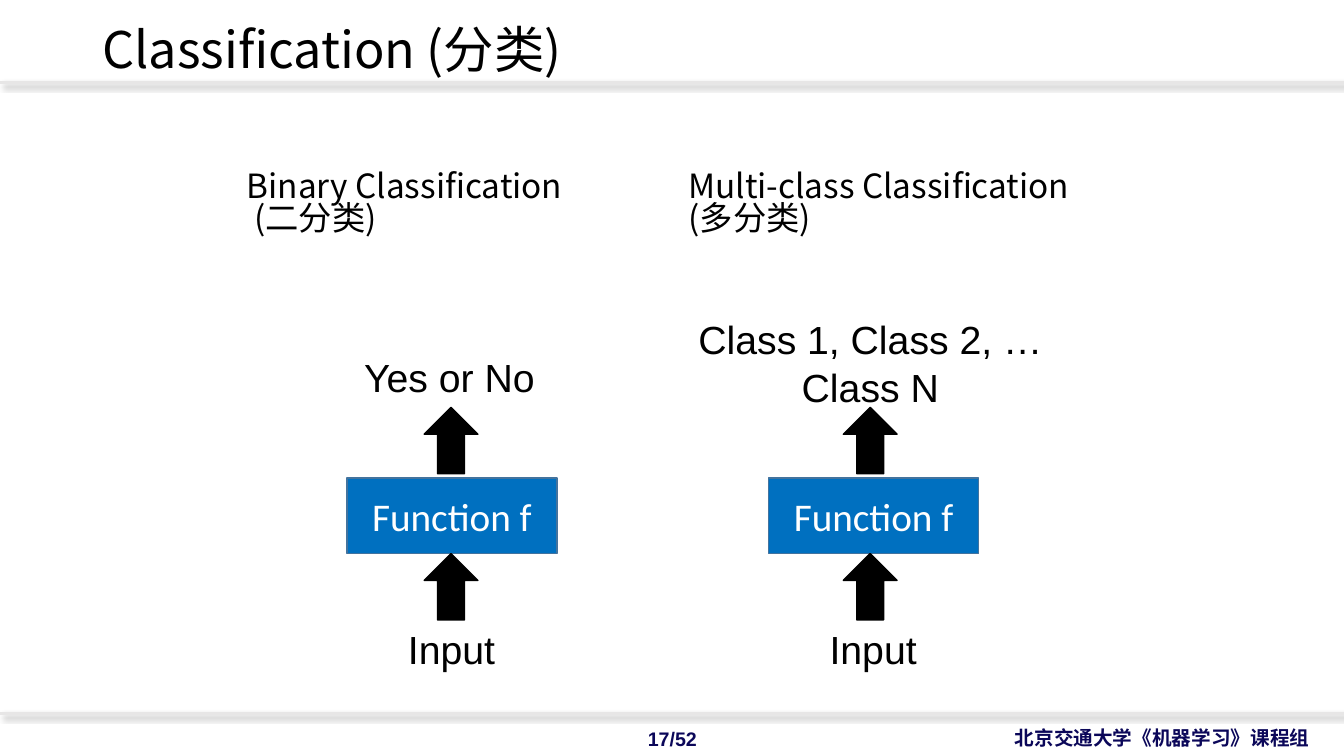
from lxml import etree
from pptx import Presentation
from pptx.dml.color import RGBColor
from pptx.enum.shapes import MSO_CONNECTOR, MSO_SHAPE
from pptx.enum.text import MSO_ANCHOR, PP_ALIGN
from pptx.oxml import parse_xml
from pptx.oxml.ns import nsdecls, qn
from pptx.util import Inches, Pt

RECT, UP_ARROW = MSO_SHAPE.RECTANGLE, MSO_SHAPE.UP_ARROW
STRAIGHT = MSO_CONNECTOR.STRAIGHT
TOP, MIDDLE, BOTTOM = MSO_ANCHOR.TOP, MSO_ANCHOR.MIDDLE, MSO_ANCHOR.BOTTOM
LEFT, CENTER, RIGHT = PP_ALIGN.LEFT, PP_ALIGN.CENTER, PP_ALIGN.RIGHT

WIDTH, HEIGHT = 13.33, 7.5
COLS, ROWS = 160, 90
COLORS = {"black": "000000", "white": "FFFFFF", "navy": "0B0759",
          "blue": "0070C0", "edge": "43739E", "rule": "E7E6E6"}
SANS, CJK, BOX_FONT = "Arial", "Noto Sans CJK SC", "Calibri"


def rgb(name):
    return RGBColor.from_string(COLORS[name])


def write(tf, text, size=28, font=SANS, color="black", bold=False,
          align=CENTER, anchor=TOP, spacing=None):
    tf.word_wrap = True
    tf.vertical_anchor = anchor
    p = tf.paragraphs[0]
    p.text = text
    p.alignment = align
    if spacing:
        p.line_spacing = spacing
    for r in p.runs:
        r.font.size, r.font.name, r.font.bold = Pt(size), font, bold
        r.font.color.rgb = rgb(color)
        ea = etree.SubElement(r.font._element, qn("a:ea"))
        ea.set("typeface", CJK)


class Deck:
    """Draws on one slide; lengths are columns and rows of the grid."""

    def __init__(self):
        self.prs = Presentation()
        self.prs.slide_width = Inches(WIDTH)
        self.prs.slide_height = Inches(HEIGHT)
        self.slide = self.prs.slides.add_slide(self.prs.slide_layouts[6])

    def place(self, col, row, cols, rows):
        return (self.x(col), self.y(row), self.x(cols), self.y(rows))

    def x(self, col):
        return Inches(col * WIDTH / COLS)

    def y(self, row):
        return Inches(row * HEIGHT / ROWS)

    def text(self, at, text, inset=True, **style):
        tf = self.slide.shapes.add_textbox(*self.place(*at)).text_frame
        if not inset:
            tf.margin_left = tf.margin_right = 0
            tf.margin_top = tf.margin_bottom = 0
        write(tf, text, **style)

    def shape(self, kind, at, fill, line):
        sp = self.slide.shapes.add_shape(kind, *self.place(*at))
        sp.shadow.inherit = False
        sp.fill.solid()
        sp.fill.fore_color.rgb = rgb(fill)
        sp.line.color.rgb = rgb(line)
        sp.line.width = Pt(1)
        return sp

    def box(self, at, text):
        sp = self.shape(RECT, at, "blue", "edge")
        write(sp.text_frame, text, font=BOX_FONT, color="white", anchor=MIDDLE)

    def arrow(self, center, row):
        self.shape(UP_ARROW, (center - 3.2, row, 6.4, 7.9), "black", "black")

    def rule(self, row):
        """Full-width line with a soft shadow."""
        y = self.y(row)
        sp = self.slide.shapes.add_connector(STRAIGHT, 0, y, self.x(COLS), y)
        sp.line.color.rgb = rgb("rule")
        sp.line.width = Pt(2)
        sp._element.spPr.append(parse_xml(
            f'<a:effectLst {nsdecls("a")}><a:outerShdw blurRad="{Pt(4)}" '
            f'dist="{Pt(3)}" dir="2700000" algn="tl" rotWithShape="0">'
            f'<a:srgbClr val="{COLORS["black"]}"><a:alpha val="40000"/>'
            '</a:srgbClr></a:outerShdw></a:effectLst>'))

    def flow(self, box_center, arrow_center, output_at, output):
        """Input, function and output, stacked from bottom to top."""
        self.box((box_center - 12.5, 56.9, 25, 9), "Function f")
        self.text((box_center - 14.7, 73.8, 29.3, 6.8), "Input")
        for row in (65.9, 48.5):
            self.arrow(arrow_center, row)
        self.text(output_at, output)


def main():
    deck = Deck()
    footer = dict(size=14, color="navy", bold=True, anchor=MIDDLE)
    deck.text((106.6, 85.8, 50.5, 4.1), "北京交通大学《机器学习》课程组",
              align=RIGHT, **footer)
    deck.text((72.6, 85.9, 14.9, 4.1), "17/52", **footer)
    for row in (9.84, 84.96):
        deck.rule(row)

    deck.text((12.2, 1.3, 137.2, 8), "Classification (分类)", inset=False,
              size=36, font=CJK, align=LEFT, anchor=BOTTOM, spacing=Pt(50.1))
    for col, heading in ((28.2, "Binary Classification\n (二分类)"),
                         (80.8, "Multi-class Classification \n(多分类)")):
        deck.text((col, 20, 51, 11), heading, size=23.8, font=CJK,
                  align=LEFT, spacing=0.8)

    deck.flow(53.8, 53.7, (40.8, 41.5, 25.4, 6.8), "Yes or No")
    deck.flow(104, 103.6, (77.8, 37, 51.6, 12.5), "Class 1, Class 2, … Class N")
    deck.prs.save("out.pptx")


if __name__ == "__main__":
    main()
